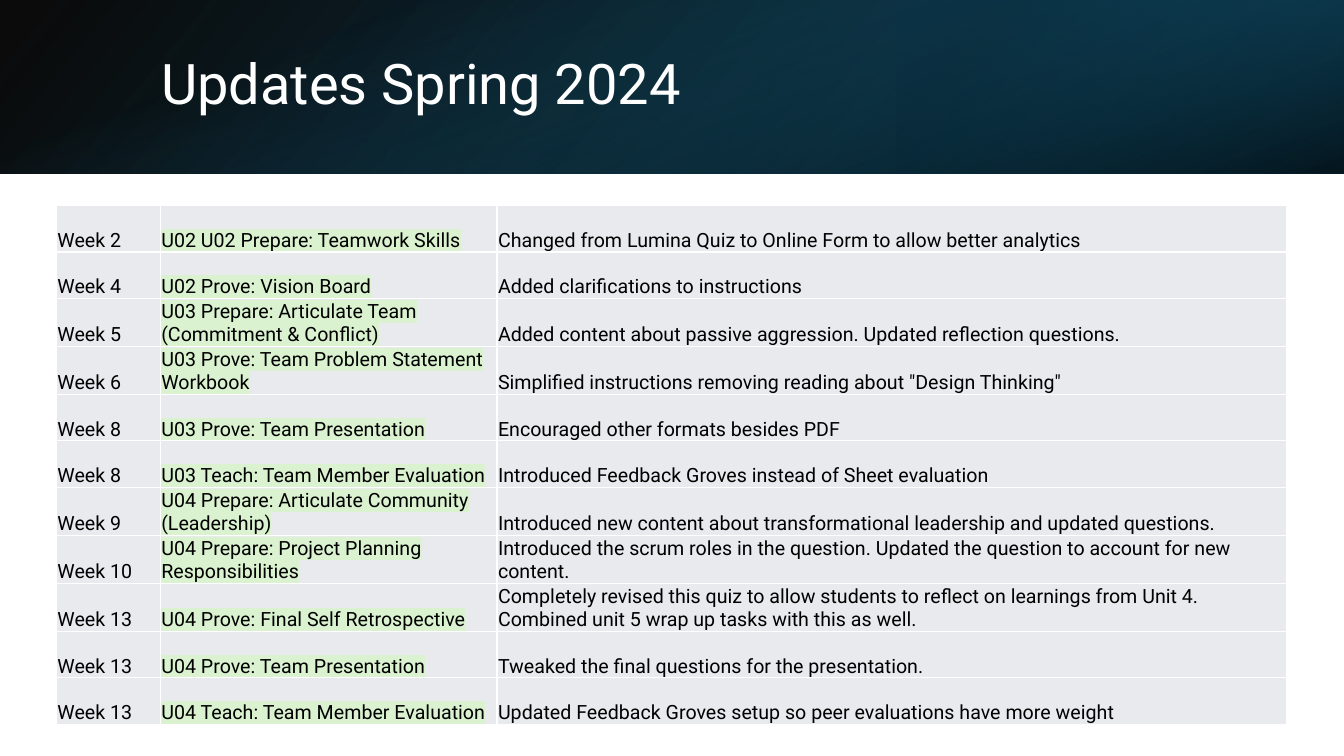
from lxml import etree
from pptx import Presentation
from pptx.dml.color import RGBColor
from pptx.enum.shapes import MSO_SHAPE
from pptx.enum.text import MSO_ANCHOR
from pptx.oxml.ns import qn
from pptx.util import Inches, Pt

RECTANGLE = MSO_SHAPE.RECTANGLE
MIDDLE = MSO_ANCHOR.MIDDLE
BOTTOM = MSO_ANCHOR.BOTTOM

WHITE = RGBColor(0xFF, 0xFF, 0xFF)
BLACK = RGBColor(0x00, 0x00, 0x00)
OCEAN = RGBColor(0x10, 0x48, 0x62)
NAVY = RGBColor(0x0B, 0x30, 0x41)
TEAL = RGBColor(0x15, 0x60, 0x82)
CELL_GRAY = RGBColor(0xE8, 0xEA, 0xED)
PALE_GREEN = RGBColor(0xDA, 0xF2, 0xD0)

PAGE_WIDTH, PAGE_HEIGHT, BANNER_HEIGHT = 13.33, 7.5, 1.72
COLUMN_WIDTHS = (1.03, 3.34, 7.83)
ROW_HEIGHT = 0.46

UPDATES = [
    ("Week 2", "U02 U02 Prepare: Teamwork Skills",
     "Changed from Lumina Quiz to Online Form to allow better analytics"),
    ("Week 4", "U02 Prove: Vision Board", "Added clarifications to instructions"),
    ("Week 5", "U03 Prepare: Articulate Team (Commitment & Conflict)",
     "Added content about passive aggression. Updated reflection questions."),
    ("Week 6", "U03 Prove: Team Problem Statement Workbook",
     'Simplified instructions removing reading about "Design Thinking"'),
    ("Week 8", "U03 Prove: Team Presentation", "Encouraged other formats besides PDF"),
    ("Week 8", "U03 Teach: Team Member Evaluation",
     "Introduced Feedback Groves instead of Sheet evaluation"),
    ("Week 9", "U04 Prepare: Articulate Community (Leadership)",
     "Introduced new content about transformational leadership and updated questions."),
    ("Week 10", "U04 Prepare: Project Planning Responsibilities",
     "Introduced the scrum roles in the question. Updated the question to account for new content."),
    ("Week 13", "U04 Prove: Final Self Retrospective",
     "Completely revised this quiz to allow students to reflect on learnings from Unit 4. \n"
     "Combined unit 5 wrap up tasks with this as well."),
    ("Week 13", "U04 Prove: Team Presentation",
     "Tweaked the final questions for the presentation."),
    ("Week 13", "U04 Teach: Team Member Evaluation",
     "Updated Feedback Groves setup so peer evaluations have more weight"),
]


def add_color(parent, color, opacity=100):
    node = etree.SubElement(parent, qn("a:srgbClr"), val=str(color))
    if opacity < 100:
        etree.SubElement(node, qn("a:alpha"), val=str(opacity * 1000))


def write_text(frame, text, *, size, color, font, anchor, margins,
               line_spacing=None, highlight=None):
    frame.word_wrap = True
    frame.vertical_anchor = anchor
    (frame.margin_left, frame.margin_top,
     frame.margin_right, frame.margin_bottom) = map(Inches, margins)
    para = frame.paragraphs[0]
    if line_spacing:
        para.line_spacing = line_spacing
    for index, line in enumerate(text.split("\n")):
        if index:
            para.add_line_break()
        span = para.add_run()
        span.text = line
        span.font.size = Pt(size)
        span.font.name = font
        span.font.color.rgb = color
        if highlight:
            marker = etree.Element(qn("a:highlight"))
            add_color(marker, highlight)
            span.font._element.find(qn("a:solidFill")).addnext(marker)


class SlideBuilder:
    font = "Roboto"

    def __init__(self, page):
        self.page = page

    def gradient_panel(self, left, top, width, height, stops, angle,
                       rotation=0, flipped=False):
        panel = self.page.shapes.add_shape(
            RECTANGLE, Inches(left), Inches(top), Inches(width), Inches(height))
        panel.shadow.inherit = False
        panel.line.fill.background()
        panel.rotation = rotation
        properties = panel._element.spPr
        if flipped:
            properties.find(qn("a:xfrm")).set("flipH", "1")
        panel.fill.gradient()
        gradient = properties.find(qn("a:gradFill"))
        gradient.clear()
        gradient.set("rotWithShape", "1")
        stop_list = etree.SubElement(gradient, qn("a:gsLst"))
        for position, color, opacity in stops:
            stop = etree.SubElement(stop_list, qn("a:gs"), pos=str(position * 1000))
            add_color(stop, color, opacity)
        etree.SubElement(gradient, qn("a:lin"), ang=str(angle * 60000), scaled="0")

    def title(self, text, left, top, width, height):
        box = self.page.shapes.add_textbox(
            Inches(left), Inches(top), Inches(width), Inches(height))
        write_text(box.text_frame, text, size=40, color=WHITE, font=self.font,
                   anchor=MIDDLE, margins=(0.1, 0.05, 0.1, 0.05), line_spacing=0.9)

    def table(self, rows, left, top):
        frame = self.page.shapes.add_table(
            len(rows), len(COLUMN_WIDTHS), Inches(left), Inches(top),
            Inches(sum(COLUMN_WIDTHS)), Inches(ROW_HEIGHT * len(rows)))
        table = frame.table
        table.first_row = False
        table.horz_banding = False
        for column, width in zip(table.columns, COLUMN_WIDTHS):
            column.width = Inches(width)
        for row, texts in zip(table.rows, rows):
            row.height = Inches(ROW_HEIGHT)
            for cell, text, highlight in zip(row.cells, texts, (None, PALE_GREEN, None)):
                self.fill_cell(cell, text, highlight)

    def fill_cell(self, cell, text, highlight):
        write_text(cell.text_frame, text, size=14, color=BLACK, font=self.font,
                   anchor=BOTTOM, margins=(0, 0, 0, 0), highlight=highlight)
        cell.vertical_anchor = BOTTOM
        cell.margin_left = cell.margin_top = cell.margin_right = Inches(0.01)
        cell.margin_bottom = Inches(0)
        cell.fill.solid()
        cell.fill.fore_color.rgb = CELL_GRAY
        properties = cell._tc.get_or_add_tcPr()
        for index, side in enumerate(("a:lnL", "a:lnR", "a:lnT", "a:lnB")):
            border = etree.Element(qn(side), w=str(Pt(1)))
            add_color(etree.SubElement(border, qn("a:solidFill")), WHITE)
            properties.insert(index, border)


def main():
    deck = Presentation()
    deck.slide_width = Inches(PAGE_WIDTH)
    deck.slide_height = Inches(PAGE_HEIGHT)
    builder = SlideBuilder(deck.slides.add_slide(deck.slide_layouts[6]))
    builder.gradient_panel(0, 0, PAGE_WIDTH, BANNER_HEIGHT,
                           [(0, BLACK, 96), (100, OCEAN, 100)], 140, flipped=True)
    builder.gradient_panel(8.89, 0, 4.44, BANNER_HEIGHT,
                           [(19, NAVY, 68), (100, TEAL, 79)], 320,
                           rotation=180, flipped=True)
    builder.gradient_panel((PAGE_WIDTH - BANNER_HEIGHT) / 2,
                           (BANNER_HEIGHT - PAGE_WIDTH) / 2, BANNER_HEIGHT, PAGE_WIDTH,
                           [(23, TEAL, 0), (99, BLACK, 74)], 340, rotation=90)
    builder.title("Updates Spring 2024", 1.5, 0.38, 10.98, 0.96)
    builder.table(UPDATES, 0.56, 2.04)
    deck.save("out.pptx")


if __name__ == "__main__":
    main()
